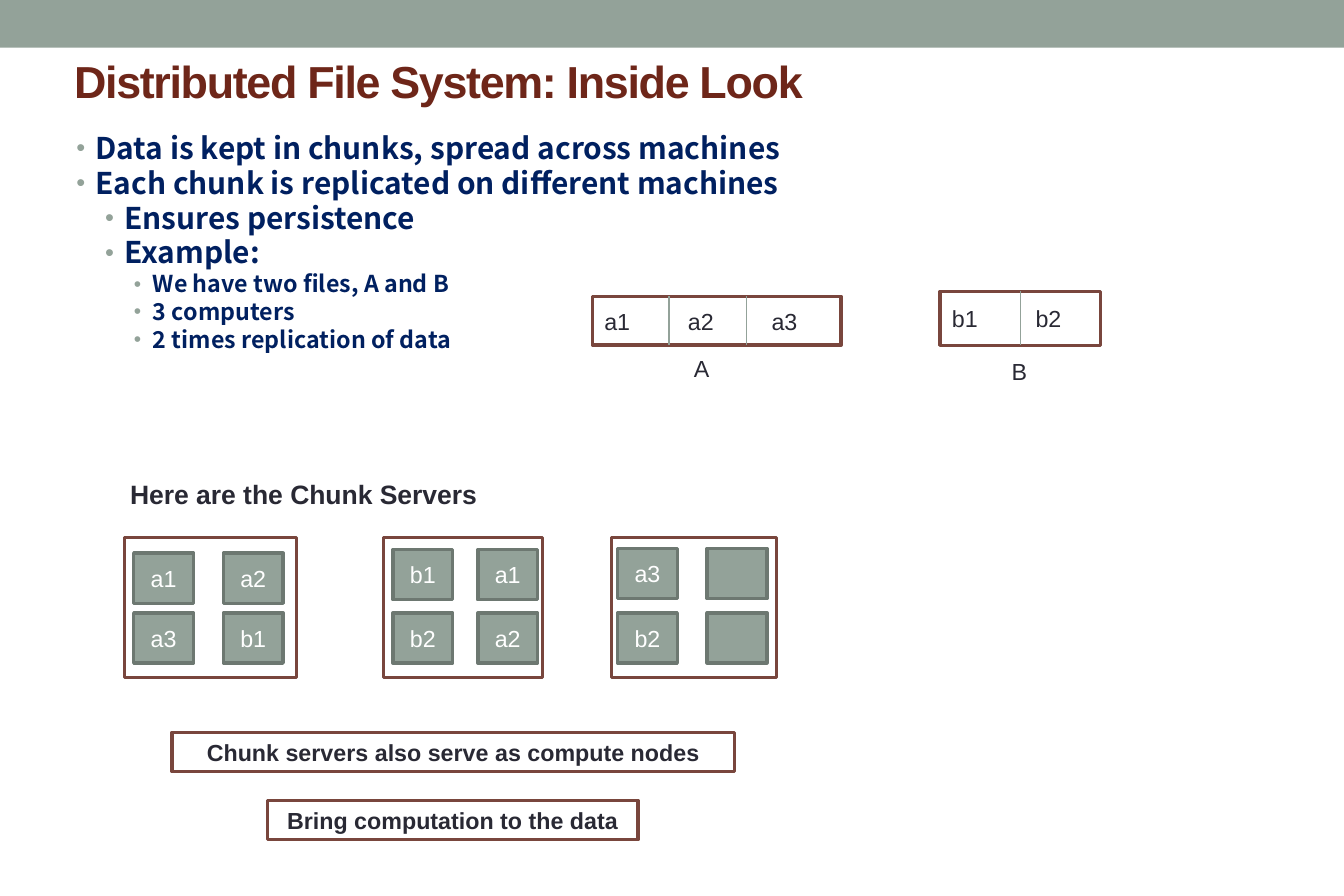
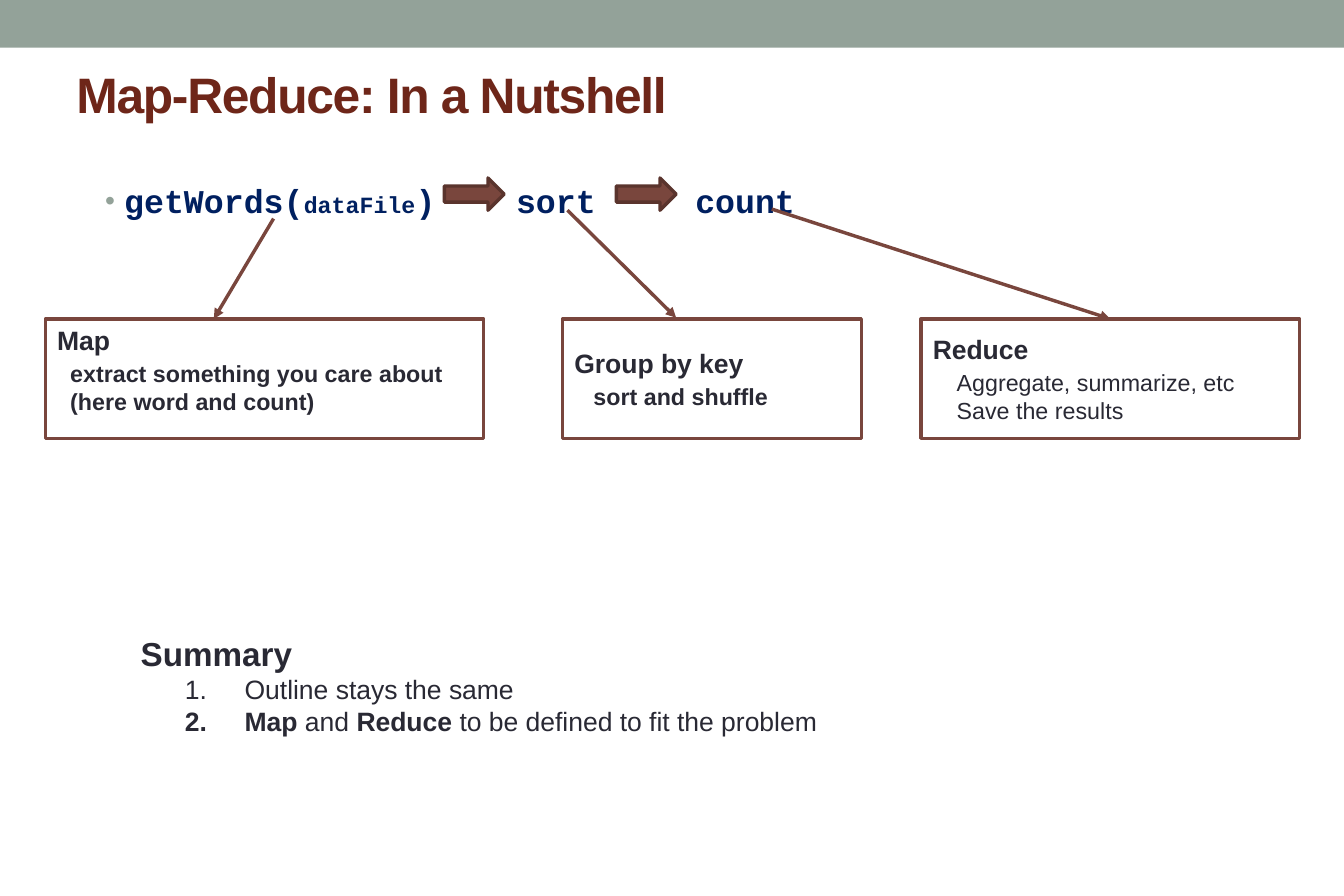
from lxml.etree import SubElement
from pptx import Presentation
from pptx.dml.color import RGBColor
from pptx.enum.shapes import MSO_CONNECTOR, MSO_SHAPE
from pptx.enum.text import MSO_ANCHOR, MSO_AUTO_SIZE, PP_ALIGN
from pptx.oxml.ns import qn
from pptx.util import Inches, Pt

SAGE, SAGE_DARK = "93A299", "6D7871"
BROWN, BROWN_DARK = "79463D", "5A342D"
TITLE, NAVY, INK, WHITE = "6E2619", "002060", "292934", "FFFFFF"
SANS, MONO, BODY = "Arial", "Courier New", "Noto Sans CJK TC"
THICK, THIN = 2.08, 0.75


def color(value):
    return RGBColor.from_string(value)


def child(parent, tag, **attributes):
    element = SubElement(parent, qn(tag))
    for name, value in attributes.items():
        element.set(name, str(value))
    return element


def write(para, text, size=14, font=SANS, ink=INK, bold=False, spacing=None):
    span = para.add_run()
    span.text = text
    span.font.size = Pt(size)
    span.font.name = font
    span.font.bold = bold
    span.font.color.rgb = color(ink)
    if spacing is not None:
        span.font._element.set("spc", str(spacing))


def indent(para, margin, hanging=0):
    properties = para._p.get_or_add_pPr()
    properties.set("marL", str(Inches(margin)))
    properties.set("indent", str(-Inches(hanging)))
    return properties


def bullet(para, margin, percent=85):
    properties = indent(para, margin, 0.16)
    child(child(properties, "a:buClr"), "a:srgbClr", val=SAGE)
    child(properties, "a:buSzPct", val=percent * 1000)
    child(properties, "a:buFont", typeface=SANS)
    child(properties, "a:buChar", char="•")


def number(para):
    properties = indent(para, 0.87, 0.5)
    child(properties, "a:buFont", typeface=SANS)
    child(properties, "a:buAutoNum", type="arabicPeriod")


def tab_stops(para, stops):
    tabs = child(para._p.get_or_add_pPr(), "a:tabLst")
    for stop in stops:
        child(tabs, "a:tab", pos=Inches(stop), algn="l")


def place(box, left, top, width, height):
    box.left, box.top = Inches(left), Inches(top)
    box.width, box.height = Inches(width), Inches(height)


def set_frame(box, anchor=MSO_ANCHOR.TOP, wrap=True, side=0.1, edge=0.05):
    """Set wrapping, anchor and margins; return the text frame."""
    frame = box.text_frame
    frame.word_wrap = wrap
    frame.auto_size = MSO_AUTO_SIZE.NONE
    frame.vertical_anchor = anchor
    frame.margin_left = frame.margin_right = Inches(side)
    frame.margin_top = frame.margin_bottom = Inches(edge)
    return frame


def next_para(frame):
    """Return the empty first paragraph, or a new one after the last."""
    first = frame.paragraphs[0]
    para = frame.add_paragraph() if first.runs else first
    para.alignment = PP_ALIGN.LEFT
    para.space_before = Pt(0)
    return para


class Slides:
    """The deck, its shared style and the page being filled."""

    def __init__(self):
        self.deck = Presentation()
        self.deck.slide_width = Inches(11.25)
        self.deck.slide_height = Inches(7.5)
        self.layout = self.deck.slide_layouts[1]
        self.page = None

    def add_band(self):
        """Move a band into the layout, so that every page shows it."""
        band = self.shape(0, 0, 11.25, 0.4, SAGE)
        self.layout.shapes.element.insert(2, band.element)

    def new_page(self, title, size, left, top, height):
        self.page = self.deck.slides.add_slide(self.layout)
        if len(self.deck.slides) == 1:
            self.add_band()
        box = self.page.shapes.title
        place(box, left, top, 10.12, height)
        para = next_para(set_frame(box, MSO_ANCHOR.MIDDLE, side=0.08, edge=0.04))
        write(para, title, size=size, ink=TITLE, bold=True, spacing=-80)

    def body(self, left, top, width, height):
        box = self.page.placeholders[1]
        place(box, left, top, width, height)
        return set_frame(box, side=0.08, edge=0.04)

    def shape(self, left, top, width, height, fill=WHITE, line=None,
              kind=MSO_SHAPE.RECTANGLE):
        box = self.page.shapes.add_shape(
            kind, Inches(left), Inches(top), Inches(width), Inches(height))
        box.shadow.inherit = False
        box.fill.solid()
        box.fill.fore_color.rgb = color(fill)
        if line:
            box.line.color.rgb = color(line)
            box.line.width = Pt(THICK)
        else:
            box.line.fill.background()
        return box

    def caption(self, text, *area, fill=WHITE, line=BROWN, **style):
        """Draw a rectangle with one centred line of text."""
        box = self.shape(*area, fill, line)
        if text:
            para = next_para(set_frame(box, MSO_ANCHOR.MIDDLE))
            para.alignment = PP_ALIGN.CENTER
            write(para, text, **style)

    def text_box(self, left, top, width, height, **frame_style):
        box = self.page.shapes.add_textbox(
            Inches(left), Inches(top), Inches(width), Inches(height))
        return set_frame(box, wrap=False, **frame_style)

    def label(self, text, *area, **style):
        write(next_para(self.text_box(*area)), text, **style)

    def line(self, start, end, ink=BROWN, width=THICK, arrow=False):
        link = self.page.shapes.add_connector(
            MSO_CONNECTOR.STRAIGHT, *(Inches(value) for value in start + end))
        link.line.color.rgb = color(ink)
        link.line.width = Pt(width)
        if arrow:
            child(link.line._get_or_add_ln(), "a:tailEnd", type="triangle")
        child(link._element.spPr, "a:effectLst")
        return link

    def file_box(self, chunks, left, top, width, height, dividers):
        """Draw a file as a row of chunks with lines between them."""
        box = self.shape(left, top, width, height, WHITE, BROWN)
        para = next_para(set_frame(box, MSO_ANCHOR.MIDDLE))
        tab_stops(para, [0.7 * i for i in range(1, len(chunks))])
        write(para, "\t".join(chunks))
        for x in dividers:
            self.line((x, top), (x, top + height), SAGE, THIN)

    def step_box(self, heading, details, left, width, anchor, margin, bold):
        box = self.shape(left, 2.67, width, 1, WHITE, BROWN)
        frame = set_frame(box, anchor, edge=0.04)
        write(next_para(frame), heading, size=16, bold=True)
        for i, detail in enumerate(details):
            para = next_para(frame)
            indent(para, margin)
            para.space_before = Pt(0 if i else 2)
            write(para, detail, bold=bold)
        return box


def file_system_page(slides):
    slides.new_page("Distributed File System: Inside Look", 27, 0.54, 0.42, 0.51)
    frame = slides.body(0.56, 1.08, 10.12, 2.4)
    points = [
        (0, "Data is kept in chunks, spread across machines"),
        (0, "Each chunk is replicated on different machines"),
        (1, "Ensures persistence"),
        (1, "Example:"),
        (2, "We have two files, A and B"),
        (2, "3 computers"),
        (2, "2 times replication of data"),
    ]
    for i, (level, text) in enumerate(points):
        para = next_para(frame)
        para.level = level
        para.line_spacing = 0.9
        para.space_before = Pt(1.5 if i else 0)
        bullet(para, 0.16 + 0.24 * level, 90 if level == 2 else 85)
        write(para, text, size=14 if level == 2 else 18, font=BODY, ink=NAVY, bold=True)

    slides.label("Here are the Chunk Servers", 0.99, 3.95, 3.14, 0.37, size=16, bold=True)
    servers = [
        (1.04, 1.44, (1.12, 1.87), 4.63, ("a1", "a2", "a3", "b1")),
        (3.21, 1.33, (3.29, 4), 4.6, ("b1", "a1", "b2", "a2")),
        (5.12, 1.38, (5.17, 5.92), 4.59, ("a3", "", "b2", "")),
    ]
    for left, width, columns, first_row, chunks in servers:
        slides.shape(left, 4.5, width, 1.17, WHITE, BROWN)
        for i, chunk in enumerate(chunks):
            top = 5.13 if i >= 2 else first_row
            slides.caption(chunk, columns[i % 2], top, 0.5, 0.42,
                           fill=SAGE, line=SAGE_DARK, ink=WHITE)

    slides.caption("Chunk servers also serve as compute nodes", 1.44, 6.13, 4.71, 0.33, bold=True)
    slides.caption("Bring computation to the data", 2.24, 6.7, 3.1, 0.33, bold=True)
    slides.file_box(("a1", "a2", "a3"), 4.96, 2.48, 2.08, 0.41, (5.6, 6.25))
    slides.file_box(("b1", "b2"), 7.87, 2.44, 1.34, 0.45, (8.54,))
    slides.label("A", 5.71, 2.92, 0.33, 0.34)
    slides.label("B", 8.37, 2.94, 0.33, 0.34)


def map_reduce_page(slides):
    slides.new_page("Map-Reduce: In a Nutshell", 30, 0.56, 0.49, 0.59)
    code = {"font": MONO, "ink": NAVY, "bold": True}
    para = next_para(slides.body(0.56, 1.47, 3.3, 0.42))
    para.level = 1
    bullet(para, 0.4)
    for text, size in (("getWords(", 20), ("dataFile", 14), (")", 20)):
        write(para, text, size=size, **code)
    for text, left in (("sort", 4.24), ("count", 5.74)):
        frame = slides.text_box(left, 1.47, 1.1, 0.42, side=0.08, edge=0.04)
        write(next_para(frame), text, size=20, **code)

    slides.step_box("Map", ("extract something you care about", "(here word and count)"),
                    0.38, 3.67, MSO_ANCHOR.TOP, 0.11, True)
    slides.step_box("Group by key", ("sort and shuffle",),
                    4.71, 2.5, MSO_ANCHOR.MIDDLE, 0.16, True)
    reduce_box = slides.step_box("Reduce", ("Aggregate, summarize, etc", "Save the results"),
                                 7.71, 3.17, MSO_ANCHOR.MIDDLE, 0.2, False)
    slides.line((2.29, 1.83), (1.79, 2.67), arrow=True)
    slides.line((4.75, 1.76), (5.66, 2.66), arrow=True)
    slides.line((6.46, 1.75), (9.29, 2.67), arrow=True).end_connect(reduce_box, 0)
    for left in (3.72, 5.16):
        slides.shape(left, 1.49, 0.5, 0.27, BROWN, BROWN_DARK, MSO_SHAPE.RIGHT_ARROW)

    frame = slides.text_box(1.08, 5.25, 5.93, 0.98)
    write(next_para(frame), "Summary", size=20, bold=True)
    items = [
        [("Outline stays the same", False)],
        [("Map ", True), ("and ", False), ("Reduce ", True),
         ("to be defined to fit the problem", False)],
    ]
    for item in items:
        para = next_para(frame)
        para.level = 1
        number(para)
        for text, bold in item:
            write(para, text, size=16, bold=bold)


def main():
    slides = Slides()
    file_system_page(slides)
    map_reduce_page(slides)
    slides.deck.save("out.pptx")


if __name__ == "__main__":
    main()
